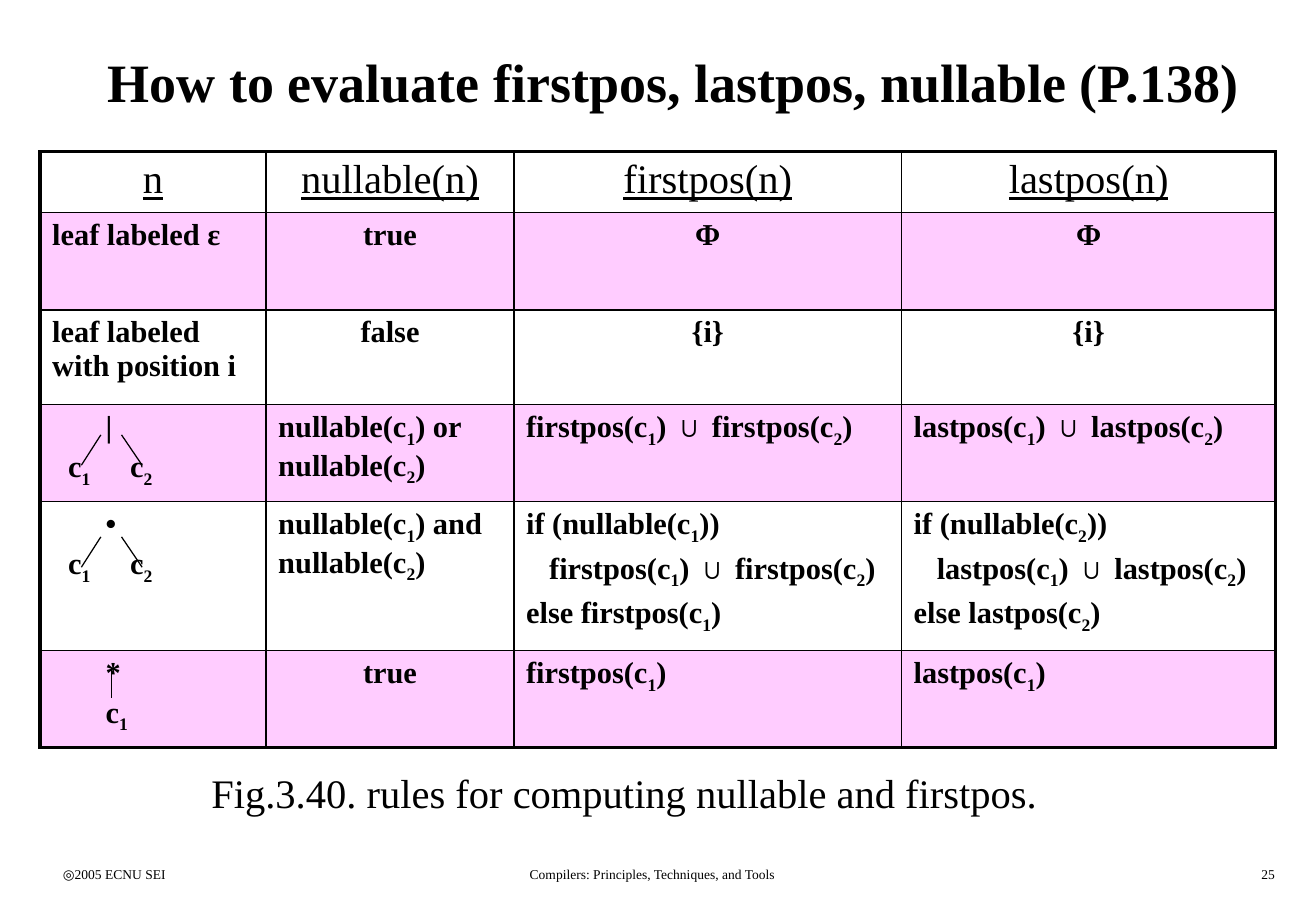
from lxml import etree
from pptx import Presentation
from pptx import util as u
from pptx.dml import color
from pptx.enum import shapes, text
from pptx.oxml import ns

FONT = "Times New Roman"
BLACK, WHITE, PINK = "000000", "FFFFFF", "FFCCFF"
CENTER, LEFT, RIGHT = text.PP_ALIGN.CENTER, text.PP_ALIGN.LEFT, text.PP_ALIGN.RIGHT
COLUMN_WIDTHS = [1.86, 2.04, 3.19, 3.08]
ROW_HEIGHTS = [0.5, 0.8, 0.78, 0.8, 1.13, 0.8]
TREE_TABS = [0.13, 0.64]
ROOT_INDENT, THEN_INDENT = 0.44, 0.19
CHILDREN = "\tc_1\tc_2"


def position_rules(name, tested):
    union = f"{name}(c_1) ∪ {name}(c_2)"
    return [
        [(union, 0)],
        [(f"if (nullable(c_{tested}))", 0), (union, THEN_INDENT),
         (f"else {name}(c_{tested})", 0)],
        [(f"{name}(c_1)", 0)],
    ]


def table_rows():
    first = position_rules("firstpos", 1)
    last = position_rules("lastpos", 2)
    return [
        ["n", "nullable(n)", "firstpos(n)", "lastpos(n)"],
        [[("leaf labeled ε", 0)], "true", "Φ", "Φ"],
        [[("leaf labeled with position i", 0)], "false", "{i}", "{i}"],
        [[("|", ROOT_INDENT), (CHILDREN, 0)],
         [("nullable(c_1) or nullable(c_2)", 0)], first[0], last[0]],
        [[("•", ROOT_INDENT), (CHILDREN, 0)],
         [("nullable(c_1) and nullable(c_2)", 0)], first[1], last[1]],
        [[("*", ROOT_INDENT), ("c_1", ROOT_INDENT)], "true", first[2], last[2]],
    ]


def rgb(value):
    return color.RGBColor.from_string(value)


def add_span(para, content, size, bold=False, underline=False, subscript=False):
    span = para.add_run()
    span.text = content
    span.font.name = FONT
    span.font.size = u.Pt(size)
    span.font.bold = bold
    span.font.underline = underline
    span.font.color.rgb = rgb(BLACK)
    if subscript:
        span._r.get_or_add_rPr().set("baseline", "-25000")


def add_subscripted(para, content, size, **style):
    start, *rest = content.split("_")
    add_span(para, start, size, **style)
    for part in rest:
        add_span(para, part[0], size, subscript=True, **style)
        if part[1:]:
            add_span(para, part[1:], size, **style)


def indent(para, left):
    properties = para._p.get_or_add_pPr()
    properties.set("marL", str(u.Inches(left)))
    properties.set("indent", "0")


def add_tabs(para):
    tabs = etree.SubElement(para._p.get_or_add_pPr(), ns.qn("a:tabLst"))
    for stop in TREE_TABS:
        etree.SubElement(tabs, ns.qn("a:tab"), pos=str(u.Inches(stop)), algn="l")


def add_border(cell, side, width):
    line = etree.SubElement(cell._tc.get_or_add_tcPr(), ns.qn(f"a:ln{side}"),
                            w=str(u.Pt(width)))
    fill = etree.SubElement(line, ns.qn("a:solidFill"))
    etree.SubElement(fill, ns.qn("a:srgbClr"), val=BLACK)


def fill_cell(cell, content, size, **style):
    centered = isinstance(content, str)
    lines = [(content, 0)] if centered else content
    frame = cell.text_frame
    for number, (line, left) in enumerate(lines):
        para = frame.add_paragraph() if number else frame.paragraphs[0]
        para.alignment = CENTER if centered else LEFT
        if number:
            para.space_before = u.Pt(3.6)
        if left:
            indent(para, left)
        if "\t" in line:
            add_tabs(para)
        add_subscripted(para, line, size, **style)


def add_rules_table(page):
    rows = table_rows()
    frame = page.shapes.add_table(
        len(rows), len(COLUMN_WIDTHS), u.Inches(0.33), u.Inches(1.25),
        u.Inches(sum(COLUMN_WIDTHS)), u.Inches(sum(ROW_HEIGHTS)))
    table = frame.table
    table.first_row = table.horz_banding = False
    for column, width in zip(table.columns, COLUMN_WIDTHS):
        column.width = u.Inches(width)
    last_row, last_column = len(rows) - 1, len(COLUMN_WIDTHS) - 1
    for r, row in enumerate(rows):
        table.rows[r].height = u.Inches(ROW_HEIGHTS[r])
        for c, content in enumerate(row):
            cell = table.cell(r, c)
            outer = {"L": c == 0, "R": c == last_column,
                     "T": r == 0, "B": r == last_row}
            for side, is_outer in outer.items():
                add_border(cell, side, 2.25 if is_outer else 1)
            cell.fill.solid()
            cell.fill.fore_color.rgb = rgb(PINK if r % 2 else WHITE)
            if r == 0:
                fill_cell(cell, content, 24, underline=True)
            else:
                fill_cell(cell, content, 18, bold=True)


def add_branch(page, x1, y1, x2, y2):
    branch = page.shapes.add_connector(
        shapes.MSO_CONNECTOR.STRAIGHT,
        u.Inches(x1), u.Inches(y1), u.Inches(x2), u.Inches(y2))
    branch.line.color.rgb = rgb(BLACK)
    branch.line.width = u.Pt(0.75)
    etree.SubElement(branch._element.spPr, ns.qn("a:effectLst"))


def add_label(page, content, left, top, width, height, size, align=LEFT):
    box = page.shapes.add_textbox(
        u.Inches(left), u.Inches(top), u.Inches(width), u.Inches(height))
    box.text_frame.word_wrap = True
    para = box.text_frame.paragraphs[0]
    para.alignment = align
    add_span(para, content, size)


def add_title(page, content):
    title = page.shapes.title
    title.left, title.top = u.Inches(0.42), u.Inches(0.17)
    title.width, title.height = u.Inches(10.25), u.Inches(1)
    frame = title.text_frame
    frame.auto_size = text.MSO_AUTO_SIZE.NONE
    frame.vertical_anchor = text.MSO_ANCHOR.MIDDLE
    para = frame.paragraphs[0]
    para.alignment = CENTER
    add_span(para, content, 32, bold=True)


def main():
    deck = Presentation()
    deck.slide_width, deck.slide_height = u.Inches(10.83), u.Inches(7.5)
    page = deck.slides.add_slide(deck.slide_layouts[5])
    add_label(page, "◎2005 ECNU SEI", 0.42, 7.08, 2.26, 0.25, 8)
    add_label(page, "Compilers: Principles, Techniques, and Tools",
              3.34, 7.08, 4.06, 0.25, 8, CENTER)
    add_label(page, "25", 8.33, 7.08, 2.26, 0.25, 8, RIGHT)
    add_title(page, "How to evaluate firstpos, lastpos, nullable (P.138)")
    add_rules_table(page)
    for top in (3.58, 4.42):
        add_branch(page, 0.83, top, 0.67, top + 0.25)
        add_branch(page, 1, top, 1.17, top + 0.25)
    add_branch(page, 0.92, 5.5, 0.92, 5.75)
    add_label(page, "Fig.3.40. rules for computing nullable and firstpos.",
              1.64, 6.27, 7.72, 0.5, 24)
    deck.save("out.pptx")


if __name__ == "__main__":
    main()
